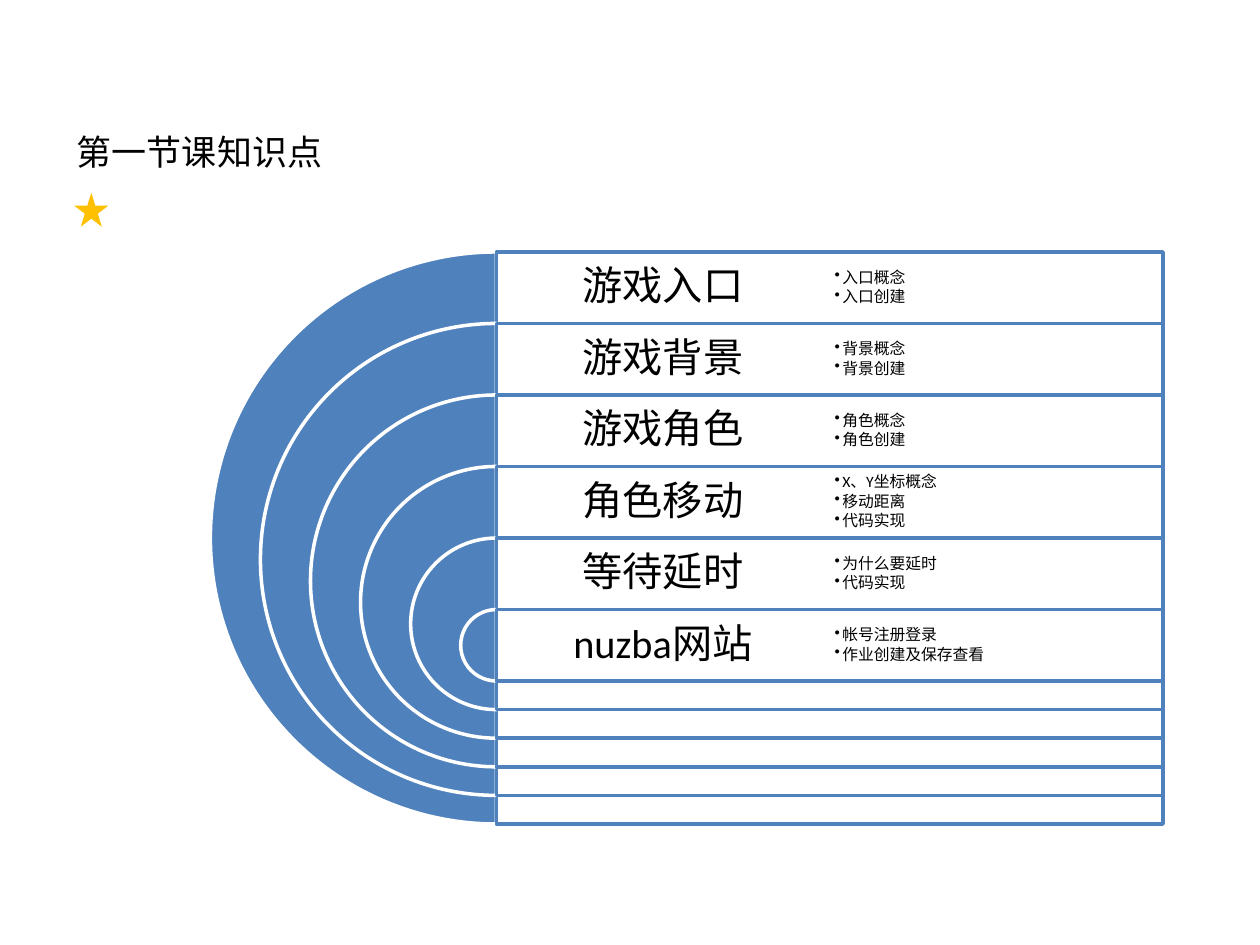
import pptx
import pptx.util
import pptx.dml.color
import pptx.enum.shapes
import pptx.enum.text
import pptx.oxml.ns
import lxml.etree

Inches, Pt = pptx.util.Inches, pptx.util.Pt
SHAPE = pptx.enum.shapes.MSO_SHAPE
ALIGN = pptx.enum.text.PP_ALIGN
MIDDLE = pptx.enum.text.MSO_ANCHOR.MIDDLE
COLORS = {"blue": "4F81BD", "white": "FFFFFF", "star": "FFC000", "text": "000000"}
TOPICS = [
    ("游戏入口", ["入口概念", "入口创建"]),
    ("游戏背景", ["背景概念", "背景创建"]),
    ("游戏角色", ["角色概念", "角色创建"]),
    ("角色移动", ["X、Y坐标概念", "移动距离", "代码实现"]),
    ("等待延时", ["为什么要延时", "代码实现"]),
    ("nuzba网站", ["帐号注册登录", "作业创建及保存查看"]),
]


def rgb(name):
    return pptx.dml.color.RGBColor.from_string(COLORS[name])


def add_child(parent, tag, **attributes):
    child = lxml.etree.SubElement(parent, pptx.oxml.ns.qn(tag))
    for key, value in attributes.items():
        child.set(key, value)
    return child


def add_filled(slide, preset, box, fill, line=None):
    part = slide.shapes.add_shape(preset, *map(Inches, box))
    part.shadow.inherit = False
    part.fill.solid()
    part.fill.fore_color.rgb = rgb(fill)
    if line:
        part.line.color.rgb = rgb(line)
        part.line.width = Pt(2)
    else:
        part.line.fill.background()
    return part


def style(paragraph, size, font="Calibri"):
    paragraph.font.size = Pt(size)
    paragraph.font.name = font
    paragraph.font.color.rgb = rgb("text")


def add_text(slide, box, lines, size, inset, space_after, bulleted=False):
    label = slide.shapes.add_textbox(*map(Inches, box))
    frame = label.text_frame
    frame.word_wrap = True
    frame.vertical_anchor = MIDDLE
    frame.margin_left = frame.margin_right = Inches(inset)
    frame.margin_top = frame.margin_bottom = Inches(inset)
    frame.text = "\n".join(lines)
    for paragraph in frame.paragraphs:
        style(paragraph, size)
        paragraph.line_spacing = 0.9
        paragraph.space_after = Pt(space_after)
        if bulleted:
            paragraph.level = 1
            properties = paragraph._p.get_or_add_pPr()
            properties.set("marL", str(Inches(0.06)))
            properties.set("indent", str(-Inches(0.06)))
            bullet = add_child(properties, "a:buChar", char="•")
            # Bullets come before default run properties in the schema
            defaults = properties.find(pptx.oxml.ns.qn("a:defRPr"))
            if defaults is not None:
                defaults.addprevious(bullet)
        else:
            paragraph.alignment = ALIGN.CENTER


def add_heading(slide, left, top, width, height):
    # Title
    title = slide.shapes.title
    title.left, title.top = Inches(left), Inches(top)
    title.width, title.height = Inches(width), Inches(height)
    frame = title.text_frame
    frame.text = "第一节课知识点"
    frame.word_wrap = False
    frame.auto_size = pptx.enum.text.MSO_AUTO_SIZE.NONE
    frame.paragraphs[0].alignment = ALIGN.LEFT
    style(frame.paragraphs[0], 20, "Noto Sans CJK SC")
    # Star below the title
    add_filled(slide, SHAPE.STAR_5_POINT, (left + 0.08, top + 0.55, 0.27, 0.27), "star")


def add_nested_topics(slide, left, top, width, height):
    """Half discs, each nested in the one before, open onto rows of topics."""
    # The innermost layer is one row high; each outer layer adds 1.4 rows
    row = height / (1 + 1.4 * (len(TOPICS) - 1))
    column = width / 2
    for index, (topic, _) in enumerate(TOPICS):
        layer_top = top + index * row
        size = height - index * 1.4 * row
        disc = add_filled(slide, SHAPE.PIE, (left - size / 2, layer_top, size, size),
                          "blue", "white")
        disc.adjustments[0], disc.adjustments[1] = 54, 162
        panel = add_filled(slide, SHAPE.RECTANGLE, (left, layer_top, width, size),
                           "white", "blue")
        color = panel.fill._xPr.find(".//" + pptx.oxml.ns.qn("a:srgbClr"))
        add_child(color, "a:alpha", val="90000")
        add_text(slide, (left, layer_top, column, row), [topic], 23, 0.1, 8)
    # Details beside the topics
    for index, (_, details) in enumerate(TOPICS):
        add_text(slide, (left + column, top + index * row, column, row),
                 details, 9, 0.04, 1.35, bulleted=True)


def main():
    deck = pptx.Presentation()
    deck.slide_width, deck.slide_height = Inches(10), Inches(7.5)
    slide = deck.slides.add_slide(deck.slide_layouts[5])
    add_heading(slide, 0.51, 0.98, 2.17, 0.44)
    add_nested_topics(slide, 3.94, 2, 5.29, 4.54)
    deck.save("out.pptx")


if __name__ == "__main__":
    main()
